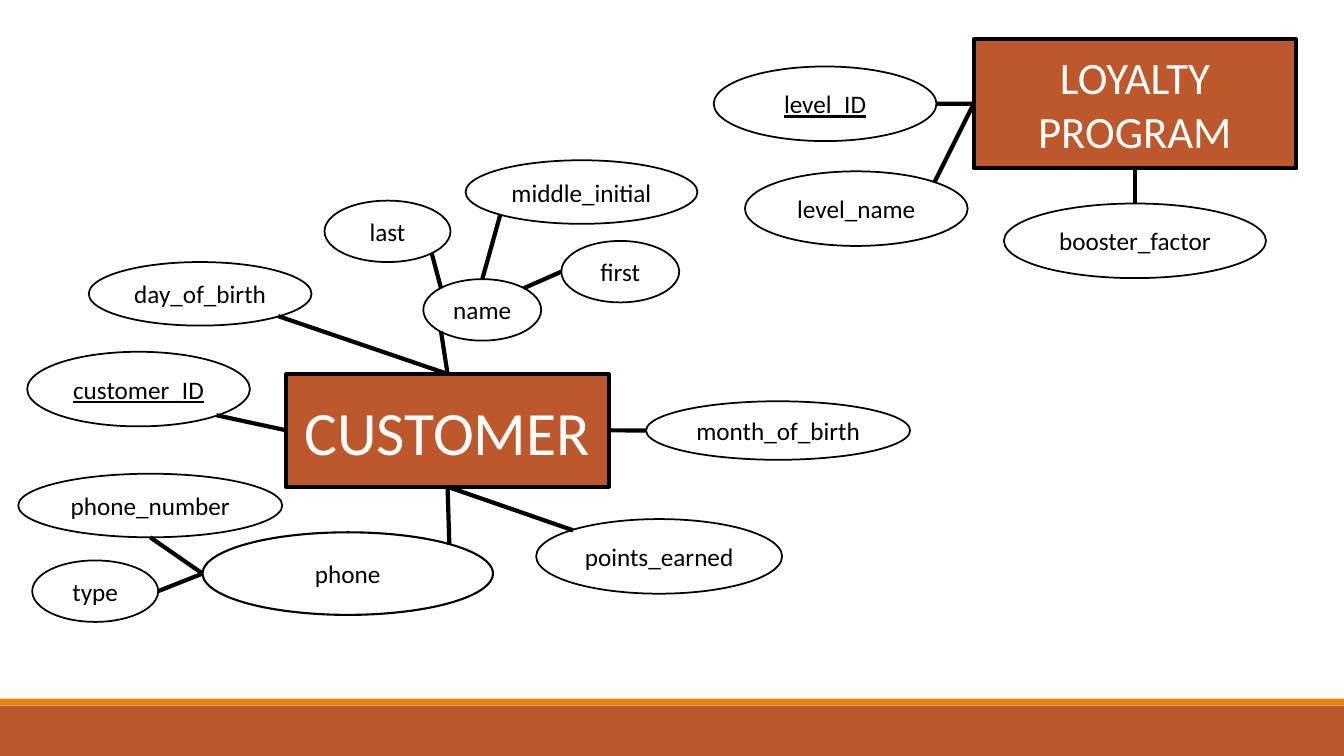
from lxml.etree import SubElement
from pptx import Presentation
from pptx.dml.color import RGBColor
from pptx.enum.shapes import MSO_CONNECTOR, MSO_SHAPE
from pptx.enum.text import MSO_ANCHOR, PP_ALIGN
from pptx.oxml.ns import qn
from pptx.util import Pt

RUST = RGBColor(0xBD, 0x58, 0x2C)
AMBER = RGBColor(0xE4, 0x83, 0x12)
WHITE = RGBColor(255, 255, 255)
BLACK = RGBColor(0, 0, 0)
WIDTH, HEIGHT = 960, 540

FRAME = {"word_wrap": True, "vertical_anchor": MSO_ANCHOR.MIDDLE}
LABEL = {"name": "Calibri", "size": Pt(18), "underline": None}

BANDS = [(504, 36, RUST), (499, 5, AMBER)]
BOXES = [
    ("CUSTOMER", 204.5, 267.1, 230.4, 80.6, 44),
    ("LOYALTY PROGRAM", 695.5, 28.1, 230.4, 92.2, 32),
]
OVALS = [
    ("customer_ID", 19.4, 251.3, 159.1, 53.3),
    ("first", 401, 172.1, 84.2, 43.9),
    ("last", 231.8, 143.3, 90, 43.9),
    ("middle_initial", 332.6, 114.5, 165.6, 45.4),
    ("day_of_birth", 63.4, 187.2, 159.1, 45.4),
    ("month_of_birth", 461.5, 286.6, 188.6, 41.8),
    ("points_earned", 383, 370.8, 175.7, 53.3),
    ("phone", 144.7, 380.2, 207.4, 59),
    ("name", 302.4, 199.4, 84.2, 43.9),
    ("phone_number", 13, 338.4, 188.6, 45.4),
    ("type", 23, 400.3, 90, 43.9),
    ("booster_factor", 717.1, 145.4, 187.2, 53.3),
    ("level_name", 532.1, 122.4, 159.1, 53.3),
    ("level_ID", 509.8, 47.5, 159.1, 53.3),
]
KEYS = {"customer_ID", "level_ID"}
SITES = {
    "top": (0.5, 0), "left": (0, 0.5), "base": (0.5, 1), "right": (1, 0.5),
    "NW": (0.15, 0.15), "NE": (0.85, 0.15),
    "SW": (0.15, 0.85), "SE": (0.85, 0.85),
}
LINKS = [
    ("CUSTOMER", "left", "customer_ID", "SE"),
    ("CUSTOMER", "top", "day_of_birth", "SE"),
    ("CUSTOMER", "top", "name", "SW"),
    ("CUSTOMER", "right", "month_of_birth", "left"),
    ("CUSTOMER", "base", "points_earned", "NW"),
    ("CUSTOMER", "base", "phone", "NE"),
    ("name", "NW", "last", "SE"),
    ("name", "top", "middle_initial", "SW"),
    ("name", "NE", "first", "left"),
    ("phone", "left", "phone_number", "base"),
    ("phone", "left", "type", "right"),
    ("LOYALTY PROGRAM", "left", "level_ID", "right"),
    ("LOYALTY PROGRAM", "left", "level_name", "NE"),
    ("LOYALTY PROGRAM", "base", "booster_factor", "top"),
]


def apply(target, values):
    """Set each attribute of the target from a dict."""
    for key, value in values.items():
        setattr(target, key, value)


def add_form(slide, kind, place, fill, edge=0):
    """Add a filled shape, outlined in black when edge is given."""
    form = slide.shapes.add_shape(kind, *map(Pt, place))
    form.shadow.inherit = False
    form.fill.solid()
    form.fill.fore_color.rgb = fill
    if edge:
        form.line.color.rgb = BLACK
        form.line.width = Pt(edge)
    else:
        form.line.fill.background()
    return form


def add_label(form, text, color, **values):
    """Write centred text in a shape."""
    apply(form.text_frame, FRAME)
    para = form.text_frame.paragraphs[0]
    para.alignment = PP_ALIGN.CENTER
    run = para.add_run()
    run.text = text
    apply(run.font, {**LABEL, **values})
    run.font.color.rgb = color


def find_site(form, site):
    """Return the point of a named site on a shape's edge."""
    across, down = SITES[site]
    return (int(form.left + across * form.width),
            int(form.top + down * form.height))


def add_link(slide, start, end):
    """Draw a thick black line between two points."""
    link = slide.shapes.add_connector(MSO_CONNECTOR.STRAIGHT, *start, *end)
    link.line.color.rgb = BLACK
    link.line.width = Pt(3)
    SubElement(link._element.spPr, qn("a:effectLst"))


def main():
    """Build the slide and save it."""
    deck = Presentation()
    apply(deck, {"slide_width": Pt(WIDTH), "slide_height": Pt(HEIGHT)})
    slide = deck.slides.add_slide(deck.slide_layouts[6])
    for top, height, fill in BANDS:
        add_form(slide, MSO_SHAPE.RECTANGLE, (0, top, WIDTH, height), fill)
    forms = {}
    for text, *place, size in BOXES:
        forms[text] = add_form(slide, MSO_SHAPE.RECTANGLE, place, RUST, 3)
        add_label(forms[text], text, WHITE, size=Pt(size))
    for text, *place in OVALS:
        edge = 1.5 if text == "phone" else 1.25
        forms[text] = add_form(slide, MSO_SHAPE.OVAL, place, WHITE, edge)
        add_label(forms[text], text, BLACK, underline=text in KEYS)
    for first, start, last, end in LINKS:
        add_link(slide, find_site(forms[first], start),
                 find_site(forms[last], end))
    deck.save("out.pptx")


main()
